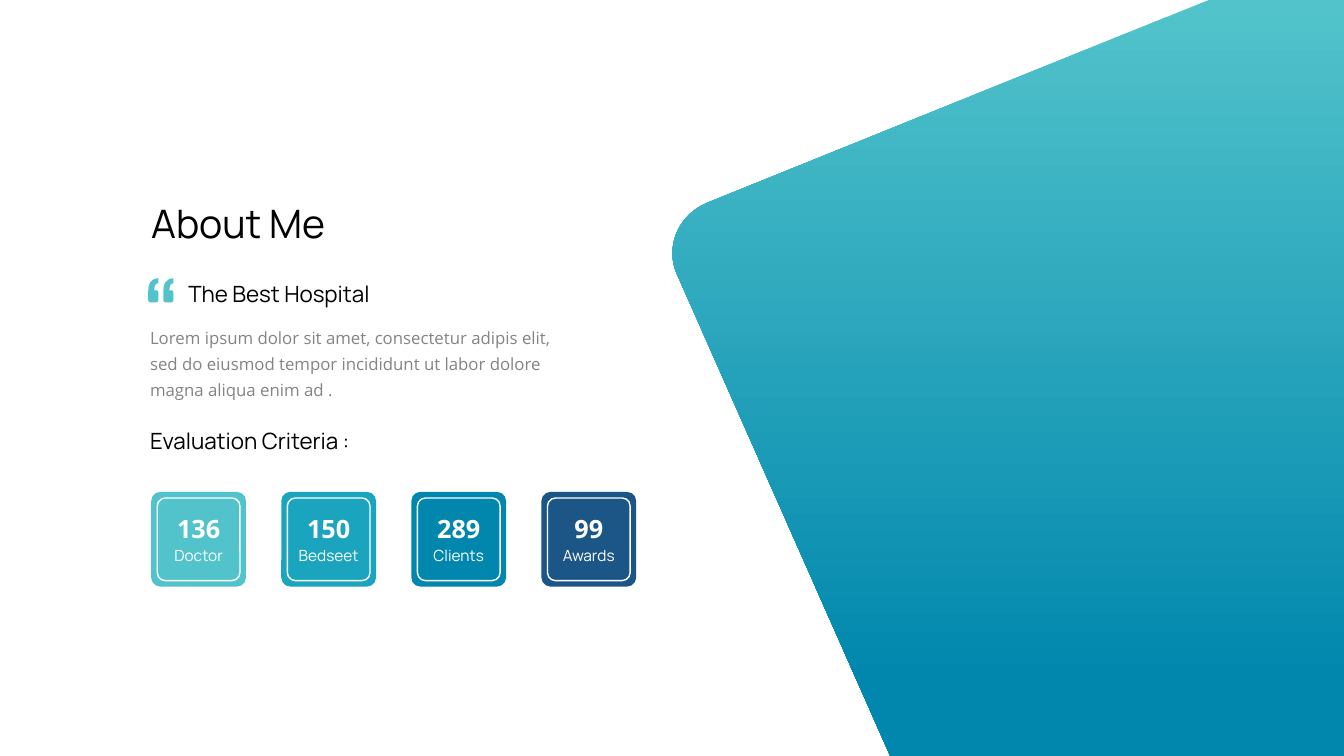
from lxml.etree import SubElement
from pptx import Presentation
from pptx.dml.color import RGBColor
from pptx.enum.shapes import MSO_SHAPE as Shape
from pptx.enum.text import MSO_ANCHOR as Anchor, MSO_AUTO_SIZE as AutoSize, PP_ALIGN as Align
from pptx.oxml.ns import qn
from pptx.util import Inches, Pt

COLORS = {
    "black": "000000", "white": "FFFFFF", "grey": "848484",
    "aqua": "52C3CB", "teal": "1AA4BE", "blue": "0187AD", "navy": "1C5686",
}
PALETTE = {name: RGBColor.from_string(value) for name, value in COLORS.items()}


def write(box, area, text, size, font="Manrope", color="black", align=Align.LEFT,
          bold=False, spacing=None, wrap=True):
    box.left, box.top, box.width, box.height = [Inches(value) for value in area]
    frame = box.text_frame
    frame.word_wrap = wrap
    frame.auto_size = AutoSize.SHAPE_TO_FIT_TEXT
    frame.vertical_anchor = Anchor.TOP
    para = frame.paragraphs[0]
    para.alignment = align
    para.line_spacing = spacing
    span = para.add_run()
    span.text = text
    span.font.name, span.font.size, span.font.bold = font, Pt(size), bold
    span.font.color.rgb = PALETTE[color]


def draw_outline(shapes, outline, shifts=(0,)):
    contours = [[[Inches(value + shift * (place % 2 == 0)) for place, value in enumerate(part)]
                 for part in outline] for shift in shifts]
    builder = shapes.build_freeform(*contours[0][0])
    for index, contour in enumerate(contours):
        if index:
            builder.move_to(*contour[0])
        builder.add_line_segments([part[-2:] for part in contour[1:]])
    figure = builder.convert_to_shape()
    figure.shadow.inherit = False
    figure.line.fill.background()
    parts = [part for contour in contours for part in contour[1:]]
    for segment, part in zip(list(figure.element.iter(qn("a:lnTo"))), parts):
        if len(part) == 6:
            segment.tag = qn("a:cubicBezTo")
            segment.remove(segment[0])
            for x, y in zip(part[::2], part[1::2]):
                SubElement(segment, qn("a:pt"), x=str(x - figure.left), y=str(y - figure.top))
    return figure


deck = Presentation()
deck.slide_width, deck.slide_height = Inches(13.33), Inches(7.5)
page = deck.slides.add_slide(deck.slide_layouts[5])
shapes = page.shapes

write(shapes.title, (1.4, 1.93, 3.24, 0.57), "About Me", 28)

panel = draw_outline(shapes, [
    (11.99, 0), (13.33, 0), (13.33, 7.5), (8.83, 7.5), (6.71, 2.71),
    (6.68, 2.64, 6.67, 2.58, 6.67, 2.51), (6.67, 2.3, 6.8, 2.1, 7.02, 2.01),
])
panel.fill.gradient()
panel.fill.gradient_angle = 270
for stop, position, color in zip(panel.fill.gradient_stops, (0, 0.9), ("aqua", "blue")):
    stop.position = position
    stop.color.rgb = PALETTE[color]

quote = draw_outline(shapes, [
    (1.57, 2.76), (1.57, 2.81), (1.54, 2.81, 1.53, 2.84, 1.53, 2.88), (1.55, 2.88),
    (1.56, 2.88, 1.57, 2.89, 1.57, 2.9), (1.57, 2.98),
    (1.57, 2.99, 1.56, 3, 1.55, 3), (1.49, 3),
    (1.48, 3, 1.47, 2.99, 1.47, 2.98), (1.47, 2.89),
    (1.47, 2.83, 1.48, 2.77, 1.57, 2.76),
], shifts=(0.15, 0))
quote.fill.solid()
quote.fill.fore_color.rgb = PALETTE["aqua"]

write(shapes.add_textbox(0, 0, 0, 0), (1.77, 2.73, 3.38, 0.37), "The Best Hospital", 16)
write(shapes.add_textbox(0, 0, 0, 0), (1.39, 3.14, 4.27, 0.87),
      "Lorem ipsum dolor sit amet, consectetur adipis elit, sed do eiusmod tempor "
      "incididunt ut labor dolore magna aliqua enim ad .",
      12, font="Open Sans", color="grey", spacing=1.3)
write(shapes.add_textbox(0, 0, 0, 0), (1.39, 4.19, 2.26, 0.37),
      "Evaluation Criteria :", 16, wrap=False)

cards = [("136", "Doctor", "aqua"), ("150", "Bedseet", "teal"),
         ("289", "Clients", "blue"), ("99", "Awards", "navy")]
for index, (number, label, color) in enumerate(cards):
    left = 1.5 + 1.29 * index
    for inset in (0, 0.06):
        side = Inches(0.94 - 2 * inset)
        tile = shapes.add_shape(Shape.ROUNDED_RECTANGLE, Inches(left + inset),
                                Inches(4.88 + inset), side, side)
        tile.adjustments[0] = 0.097
        tile.shadow.inherit = False
        if inset:
            tile.fill.background()
            tile.line.color.rgb = PALETTE["white"]
            tile.line.width = Pt(1)
        else:
            tile.fill.solid()
            tile.fill.fore_color.rgb = PALETTE[color]
            tile.line.fill.background()
    write(shapes.add_textbox(0, 0, 0, 0), (left + 0.15, 5.04, 0.64, 0.4), number, 18,
          font="Open Sans", color="white", align=Align.CENTER, bold=True, wrap=False)
    write(shapes.add_textbox(0, 0, 0, 0), (left + 0.04, 5.37, 0.86, 0.29), label, 11,
          color="white", align=Align.CENTER)

deck.save("out.pptx")
